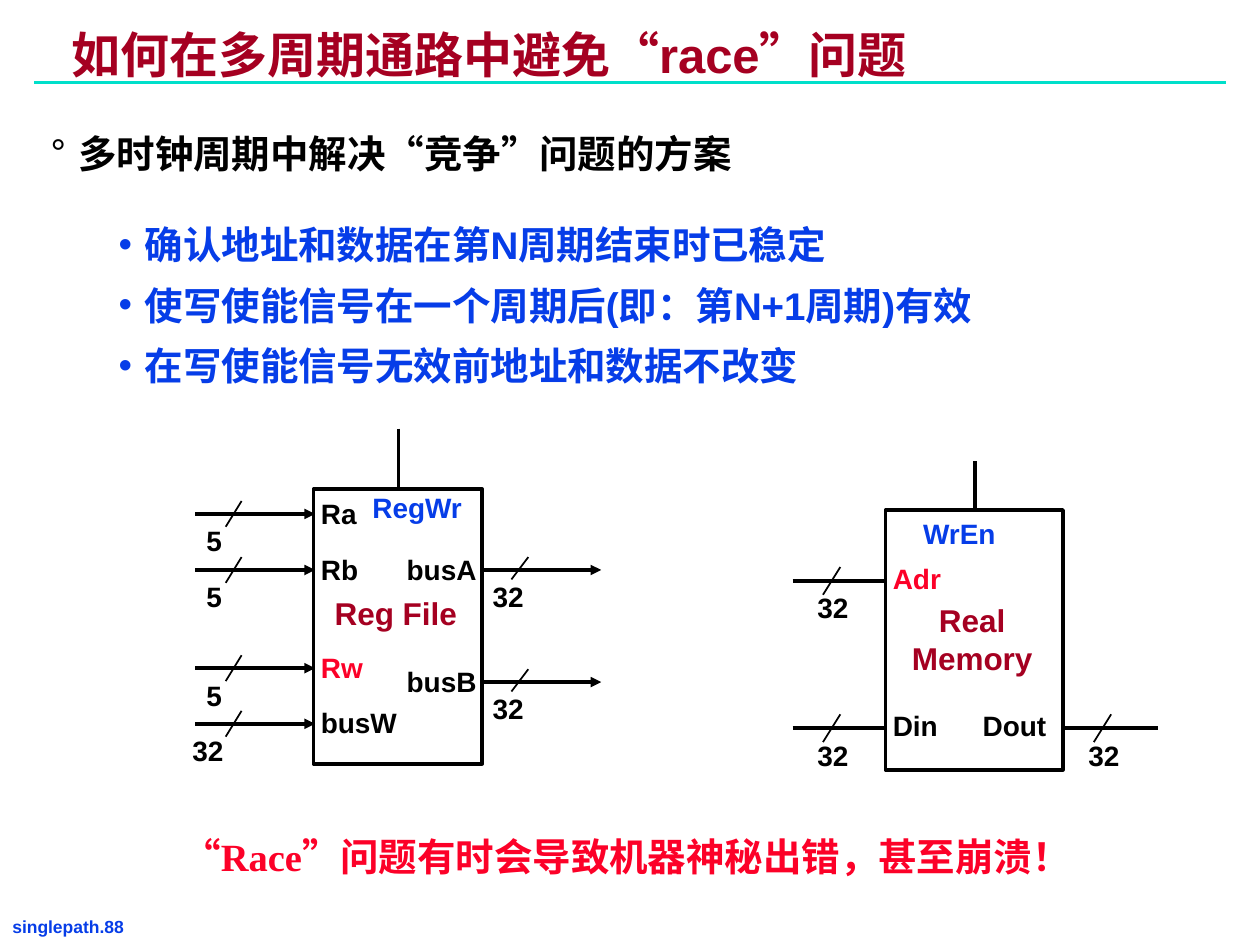
import pptx
import pptx.util
import pptx.dml.color
import pptx.enum.shapes
import pptx.enum.text
import pptx.oxml.ns
import lxml.etree

Cm = pptx.util.Cm
Pt = pptx.util.Pt

COLORS = {"title": "A50021", "rule": "00DFCA", "blue": "063DE8", "red": "FC0128", "black": "000000"}

TITLE = "如何在多周期通路中避免“race”问题"
WARNING = "“Race”问题有时会导致机器神秘出错，甚至崩溃！"
FOOTER = "singlepath.88"

HEADING = {"bullet": "°", "color": "black", "margin": 0.56, "hanging": 0.56}
POINT = {"bullet": "•", "color": "blue", "margin": 1.9, "hanging": 0.53}
OUTLINE = [
    ("多时钟周期中解决“竞争”问题的方案", 0, HEADING),
    ("确认地址和数据在第N周期结束时已稳定", 25.4, POINT),
    ("使写使能信号在一个周期后(即：第N+1周期)有效", 8.2, POINT),
    ("在写使能信号无效前地址和数据不改变", 8.2, POINT),
]

REGISTER_FILE = {
    "box": (6.32, 9.86, 3.4, 5.54),
    "name": (["Reg File"], 11.84),
    "control": (8.03, 8.64),
    "pins": [
        ("Ra", "black", 6.22, 9.88),
        ("Rb", "black", 6.22, 11.0),
        ("Rw", "red", 6.22, 12.98),
        ("busW", "black", 6.22, 14.1),
        ("busA", "black", 7.95, 11.0),
        ("busB", "black", 7.95, 13.26),
        ("RegWr", "blue", 7.26, 9.75),
    ],
    "buses": [
        {"span": (3.94, 6.35), "slash": (4.55, 4.87), "rise": 0.26, "fall": 0.26, "arrow": True,
         "wires": [("5", 3.91, 10.36), ("5", 3.91, 11.49), ("5", 3.91, 13.47), ("32", 3.63, 14.59)]},
        {"span": (9.7, 12.12), "slash": (10.31, 10.65), "rise": 0.26, "fall": 0.19, "arrow": True,
         "wires": [("32", 9.68, 11.49), ("32", 9.68, 13.75)]},
    ],
}

MEMORY = {
    "box": (17.85, 10.28, 3.58, 5.24),
    "name": (["Real", "Memory"], 11.99),
    "control": (19.66, 9.3),
    "pins": [
        ("Adr", "red", 17.75, 11.2),
        ("Din", "black", 17.75, 14.15),
        ("WrEn", "blue", 18.36, 10.29),
        ("Dout", "black", 19.56, 14.15),
    ],
    "buses": [
        {"span": (15.98, 17.88), "slash": (16.59, 16.94), "rise": 0.28, "fall": 0.28, "arrow": False,
         "wires": [("32", 16.23, 11.71), ("32", 16.23, 14.68)]},
        {"span": (21.41, 23.34), "slash": (22.05, 22.4), "rise": 0.28, "fall": 0.28, "arrow": False,
         "wires": [("32", 21.69, 14.68)]},
    ],
}


def rgb(name):
    return pptx.dml.color.RGBColor.from_string(COLORS[name])


def add_element(parent, tag, **attributes):
    element = lxml.etree.SubElement(parent, pptx.oxml.ns.qn(tag))
    for key, value in attributes.items():
        element.set(key, value)
    return element


def format_paragraph(paragraph, text, size=16, color="black", font="Arial", align="LEFT",
                     line_spacing=None, before=0):
    paragraph.text = text
    paragraph.alignment = getattr(pptx.enum.text.PP_ALIGN, align)
    if line_spacing:
        paragraph.line_spacing = line_spacing
    if before:
        paragraph.space_before = Pt(before)
    run_font = paragraph.runs[0].font
    run_font.name = font
    run_font.size = Pt(size)
    run_font.bold = True
    run_font.color.rgb = rgb(color)


def add_text(shapes, lines, left, top, width, height, inset=(0.25, 0.13), **formatting):
    frame = shapes.add_textbox(Cm(left), Cm(top), Cm(width), Cm(height)).text_frame
    frame.word_wrap = True
    frame.margin_left = frame.margin_right = Cm(inset[0])
    frame.margin_top = frame.margin_bottom = Cm(inset[1])
    for index, line in enumerate(lines):
        paragraph = frame.add_paragraph() if index else frame.paragraphs[0]
        format_paragraph(paragraph, line, **formatting)
    return frame


def add_line(shapes, start, end, width=2, color="black", arrow=False):
    line = shapes.add_connector(pptx.enum.shapes.MSO_CONNECTOR.STRAIGHT,
                                Cm(start[0]), Cm(start[1]), Cm(end[0]), Cm(end[1]))
    line.line.color.rgb = rgb(color)
    line.line.width = Pt(width)
    if arrow:
        add_element(line.line._get_or_add_ln(), "a:tailEnd", type="triangle")
    add_element(line._element.spPr, "a:effectLst")


def add_outline(shapes):
    frame = add_text(shapes, [text for text, _, _ in OUTLINE], 0.84, 2.54, 22.76, 5.33,
                     inset=(0.18, 0.09), size=22)
    for paragraph, (text, before, style) in zip(frame.paragraphs, OUTLINE):
        format_paragraph(paragraph, text, size=22, color=style["color"], before=before)
        properties = paragraph._p.get_or_add_pPr()
        properties.set("marL", str(Cm(style["margin"])))
        properties.set("indent", str(-Cm(style["hanging"])))
        bullet_color = add_element(properties, "a:buClr")
        add_element(bullet_color, "a:srgbClr", val=COLORS[style["color"]])
        add_element(properties, "a:buFont", typeface="Arial")
        add_element(properties, "a:buChar", char=style["bullet"])


def add_block(shapes, block):
    left, top, width, height = block["box"]
    box = shapes.add_shape(pptx.enum.shapes.MSO_SHAPE.RECTANGLE, Cm(left), Cm(top), Cm(width), Cm(height))
    box.shadow.inherit = False
    box.fill.background()
    box.line.color.rgb = rgb("black")
    box.line.width = Pt(2)

    names, name_top = block["name"]
    add_text(shapes, names, left - 0.04, name_top, width, 0.9 * len(names),
             size=18, color="title", align="CENTER")
    for text, color, pin_left, pin_top in block["pins"]:
        add_text(shapes, [text], pin_left, pin_top, 2.4, 0.92, color=color)

    control_x, control_top = block["control"]
    add_line(shapes, (control_x, control_top), (control_x, top))
    for bus in block["buses"]:
        start, end = bus["span"]
        slash_left, slash_right = bus["slash"]
        for bits, label_left, y in bus["wires"]:
            add_line(shapes, (start, y), (end, y), arrow=bus["arrow"])
            add_line(shapes, (slash_right, y - bus["rise"]), (slash_left, y + bus["fall"]), width=1)
            add_text(shapes, [bits], label_left, y + 0.07, 1.4, 0.92)


def main():
    presentation = pptx.Presentation()
    presentation.slide_width = Cm(25.4)
    presentation.slide_height = Cm(19.05)
    slide = presentation.slides.add_slide(presentation.slide_layouts[6])
    shapes = slide.shapes

    add_text(shapes, [FOOTER], 0.07, 18.37, 3.92, 0.56, inset=(0.18, 0.09), size=10, color="blue")
    add_line(shapes, (0.69, 1.66), (24.71, 1.66), width=1.5, color="rule")
    add_text(shapes, [TITLE], 1.27, 0.56, 20.28, 1.17, inset=(0.18, 0.09),
             size=28, color="title", line_spacing=0.87)
    add_outline(shapes)
    add_text(shapes, [WARNING], 3.43, 16.76, 17.9, 1.09, size=22, color="red",
             font="Times New Roman", line_spacing=0.9)
    for block in (REGISTER_FILE, MEMORY):
        add_block(shapes.add_group_shape().shapes, block)

    presentation.save("out.pptx")


if __name__ == "__main__":
    main()
